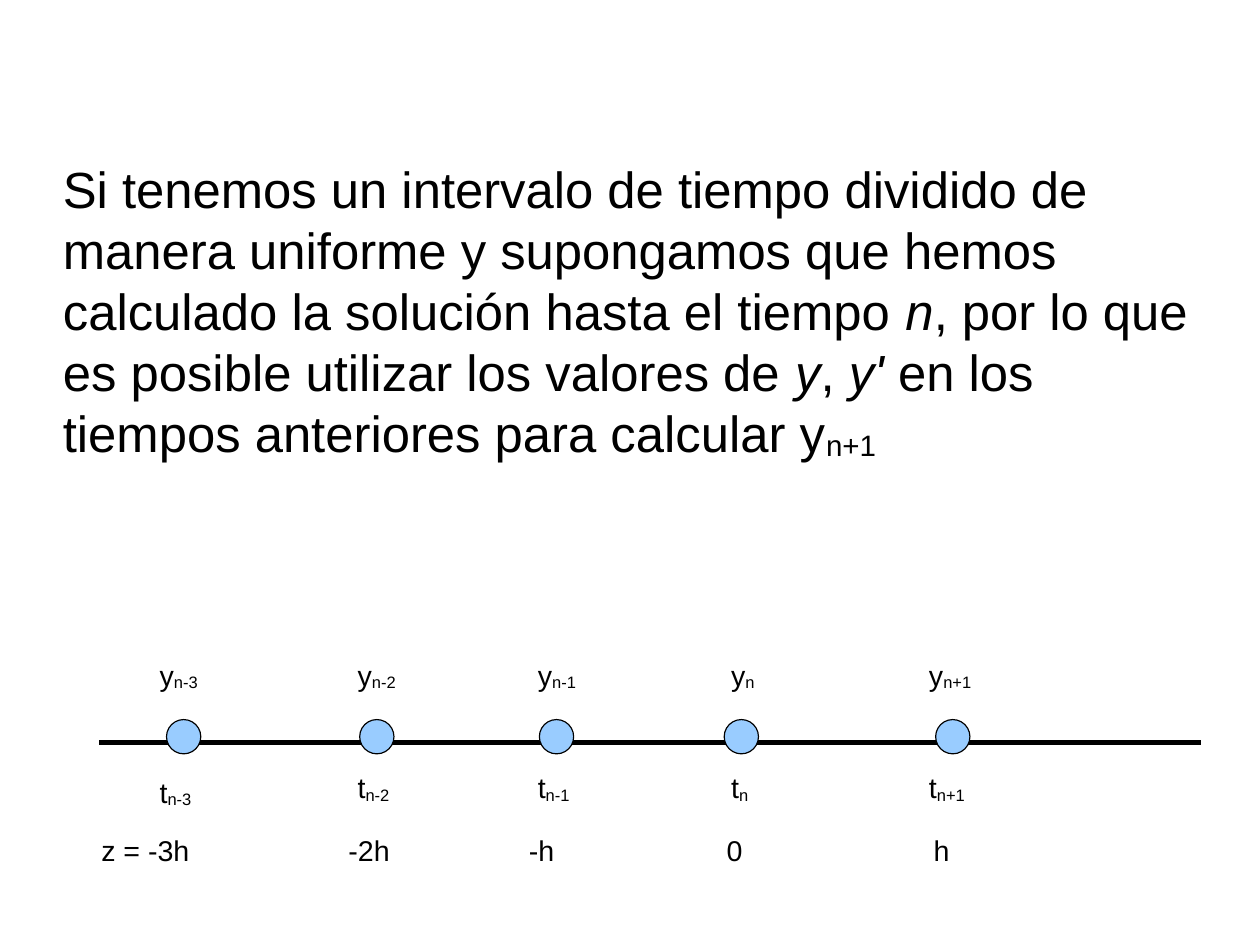
from dataclasses import dataclass
from lxml import etree
from pptx import Presentation
from pptx.dml.color import RGBColor as RGB
from pptx.enum.shapes import MSO_CONNECTOR as LINK, MSO_SHAPE as SHAPE
from pptx.enum.text import MSO_AUTO_SIZE as FIT
from pptx.oxml.ns import qn
from pptx.util import Pt


@dataclass
class Theme:
    ink: RGB = RGB(0, 0, 0)
    dot: RGB = RGB(0x99, 0xCC, 0xFF)
    font: str = "Arial"
    body: int = 32
    label: int = 18


theme = Theme()

deck = Presentation()
deck.slide_width, deck.slide_height = Pt(793.7), Pt(595.28)
slide = deck.slides.add_slide(deck.slide_layouts[6])
shapes = slide.shapes


def add_runs(para, parts, size):
    """Add (text, style) parts; style is "", "italic" or "sub"."""
    for text, style in parts:
        run = para.add_run()
        run.text = text
        run.font.name = theme.font
        run.font.size = Pt(size)
        run.font.color.rgb = theme.ink
        run.font.italic = style == "italic"
        if style == "sub":
            run.font._element.set("baseline", "-8000")


def add_label(left, top, width, height, parts):
    box = shapes.add_textbox(Pt(left), Pt(top), Pt(width), Pt(height))
    frame = box.text_frame
    frame.word_wrap = False
    frame.auto_size = FIT.SHAPE_TO_FIT_TEXT
    add_runs(frame.paragraphs[0], parts, theme.label)


# Body text
body = shapes.add_textbox(Pt(39.6), Pt(70.6), Pt(714.2), Pt(326.2))
frame = body.text_frame
frame.word_wrap = True
frame.margin_left = frame.margin_right = frame.margin_bottom = 0
frame.margin_top = Pt(28.5)
frame.paragraphs[0].line_spacing = Pt(38.5)
add_runs(frame.paragraphs[0], [
    ("Si tenemos un intervalo de tiempo dividido de manera uniforme y "
     "supongamos que hemos calculado la solución hasta el tiempo ", ""),
    ("n", "italic"),
    (", por lo que es posible utilizar los valores de ", ""),
    ("y", "italic"),
    (", ", ""),
    ("y'", "italic"),
    (" en los tiempos anteriores para calcular y", ""),
    ("n+1", "sub"),
], theme.body)

# Time axis
axis = shapes.add_connector(LINK.STRAIGHT, Pt(62.4), Pt(467.7), Pt(756.5), Pt(467.7))
axis.line.color.rgb = theme.ink
axis.line.width = Pt(2.83)
etree.SubElement(axis._element.spPr, qn("a:effectLst"))

# Steps: index, dot left, label left, y width, t width, t top, z text, z left, z width
steps = [
    ("n-3", 104.9, 93.5, 40, 36, 484.4, "z = -3h", 56.7, 71),
    ("n-2", 226.6, 218.2, 40, 36, 481.7, "-2h", 212.4, 41.5),
    ("n-1", 339.8, 331.7, 40, 36, 481.7, "-h", 326, 31.5),
    ("n", 456.2, 453.5, 31, 27, 481.7, "0", 450.6, 25.5),
    ("n+1", 589.4, 578.1, 43, 39, 481.7, "h", 581, 25.5),
]
for index, dot_x, x, y_wide, t_wide, t_top, z, z_x, z_wide in steps:
    dot = shapes.add_shape(SHAPE.OVAL, Pt(dot_x), Pt(453.3), Pt(21.6), Pt(21.6))
    dot.shadow.inherit = False
    dot.fill.solid()
    dot.fill.fore_color.rgb = theme.dot
    dot.line.color.rgb = theme.ink
    dot.line.width = Pt(0)
    add_label(x, 410.8, y_wide, 33.1, [("y", ""), (index, "sub")])
    add_label(x, t_top, t_wide, 33.1, [("t", ""), (index, "sub")])
    add_label(z_x, 521.3, z_wide, 27.4, [(z, "")])

deck.save("out.pptx")
